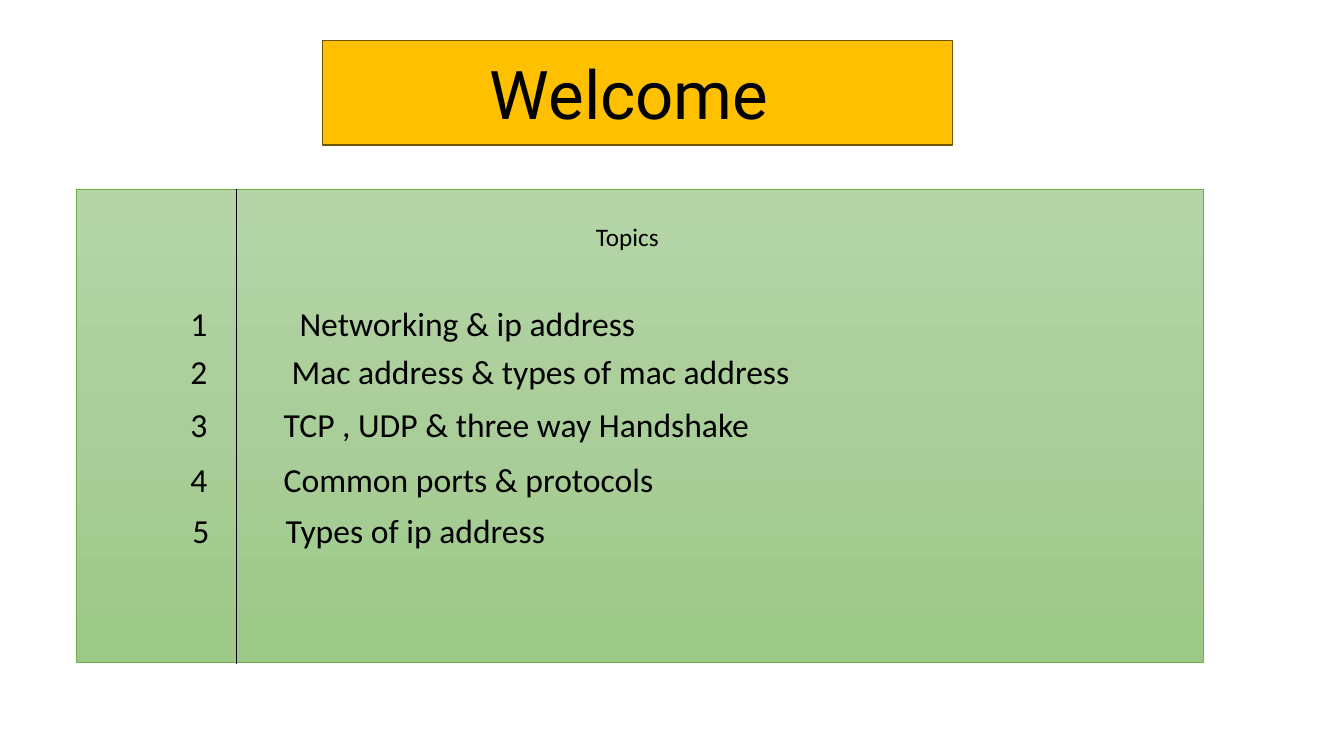
from copy import deepcopy
from dataclasses import dataclass

from lxml import etree
from pptx import Presentation
from pptx.dml.color import RGBColor as RGB
from pptx.enum.shapes import MSO_CONNECTOR as CONN, MSO_SHAPE as SHAPE
from pptx.enum.text import MSO_ANCHOR as ANCHOR, MSO_AUTO_SIZE as AUTO, PP_ALIGN as ALIGN
from pptx.oxml.ns import qn
from pptx.util import Cm, Pt


@dataclass(frozen=True)
class Theme:
    text: RGB = RGB(0x00, 0x00, 0x00)
    title_fill: RGB = RGB(0xFF, 0xC0, 0x00)
    title_line: RGB = RGB(0x70, 0x54, 0x00)
    panel_line: RGB = RGB(0x70, 0xAD, 0x47)
    panel_stops: tuple = (
        (0, RGB(0xB5, 0xD5, 0xA7)),
        (0.5, RGB(0xAA, 0xCE, 0x9A)),
        (1, RGB(0x9C, 0xC9, 0x87)),
    )
    title_font: str = "Roboto"
    body_font: str = "Calibri"
    title_size: Pt = Pt(48)
    heading_size: Pt = Pt(18)
    topic_size: Pt = Pt(24)


theme = Theme()


def write(sp, text, font, size, align=ALIGN.LEFT):
    """Put one formatted paragraph into a shape and return it."""
    tf = sp.text_frame
    tf.word_wrap = True
    tf.text = text
    p = tf.paragraphs[0]
    p.alignment = align
    for r in p.runs:
        r.font.name = font
        r.font.size = size
        r.font.color.rgb = theme.text
    return p


def add_box(left, top, width, height, line_color, line_width):
    """Add an outlined rectangle without a shadow."""
    sp = s.shapes.add_shape(SHAPE.RECTANGLE, Cm(left), Cm(top), Cm(width), Cm(height))
    sp.shadow.inherit = False
    sp.line.color.rgb = line_color
    sp.line.width = Pt(line_width)
    return sp


prs = Presentation()
prs.slide_width, prs.slide_height = Cm(33.87), Cm(19.05)
s = prs.slides.add_slide(prs.slide_layouts[6])

# Title banner
title = add_box(8.13, 1.02, 15.87, 2.64, theme.title_line, 1)
title.fill.solid()
title.fill.fore_color.rgb = theme.title_fill
title.text_frame.vertical_anchor = ANCHOR.MIDDLE
write(title, "Welcome ", theme.title_font, theme.title_size, ALIGN.CENTER)

# Topics panel, with a third stop added to the default two-stop gradient
panel = add_box(1.93, 4.78, 28.4, 11.91, theme.panel_line, 0.5)
panel.fill.gradient()
panel.fill.gradient_angle = 270
stop_list = panel._element.spPr.find(qn("a:gradFill")).find(qn("a:gsLst"))
stop_list.append(deepcopy(stop_list[-1]))
for stop, (position, color) in zip(panel.fill.gradient_stops, theme.panel_stops):
    stop.position = position
    stop.color.rgb = color

# Divider between numbers and topics
divider = s.shapes.add_connector(CONN.STRAIGHT, Cm(5.95), Cm(4.75), Cm(5.95), Cm(16.74))
divider.line.color.rgb = theme.text
divider.line.width = Pt(0.75)
etree.SubElement(divider._element.spPr, qn("a:effectLst"))

# Numbered topics: left, top, tab position, wording
topics = [
    (4.55, 7.52, 2.75, "Networking & ip address"),
    (4.55, 8.71, 2.55, "Mac address & types of mac address"),
    (4.55, 10.06, 2.35, "TCP , UDP & three way Handshake"),
    (4.55, 11.43, 2.35, "Common ports & protocols"),
    (4.6, 12.73, 2.35, "Types of ip address"),
]
for number, (left, top, tab, topic) in enumerate(topics, 1):
    row = s.shapes.add_textbox(Cm(left), Cm(top), Cm(17.8), Cm(1.28))
    p = write(row, f"{number}\t{topic}", theme.body_font, theme.topic_size)
    row.text_frame.auto_size = AUTO.SHAPE_TO_FIT_TEXT
    tabs = etree.SubElement(p._p.get_or_add_pPr(), qn("a:tabLst"))
    etree.SubElement(tabs, qn("a:tab"), pos=str(Cm(tab)), algn="l")

# Heading
heading = s.shapes.add_textbox(Cm(3.51), Cm(5.46), Cm(24.6), Cm(1.03))
write(heading, "Topics", theme.body_font, theme.heading_size, ALIGN.CENTER)
heading.text_frame.auto_size = AUTO.SHAPE_TO_FIT_TEXT

prs.save("out.pptx")
